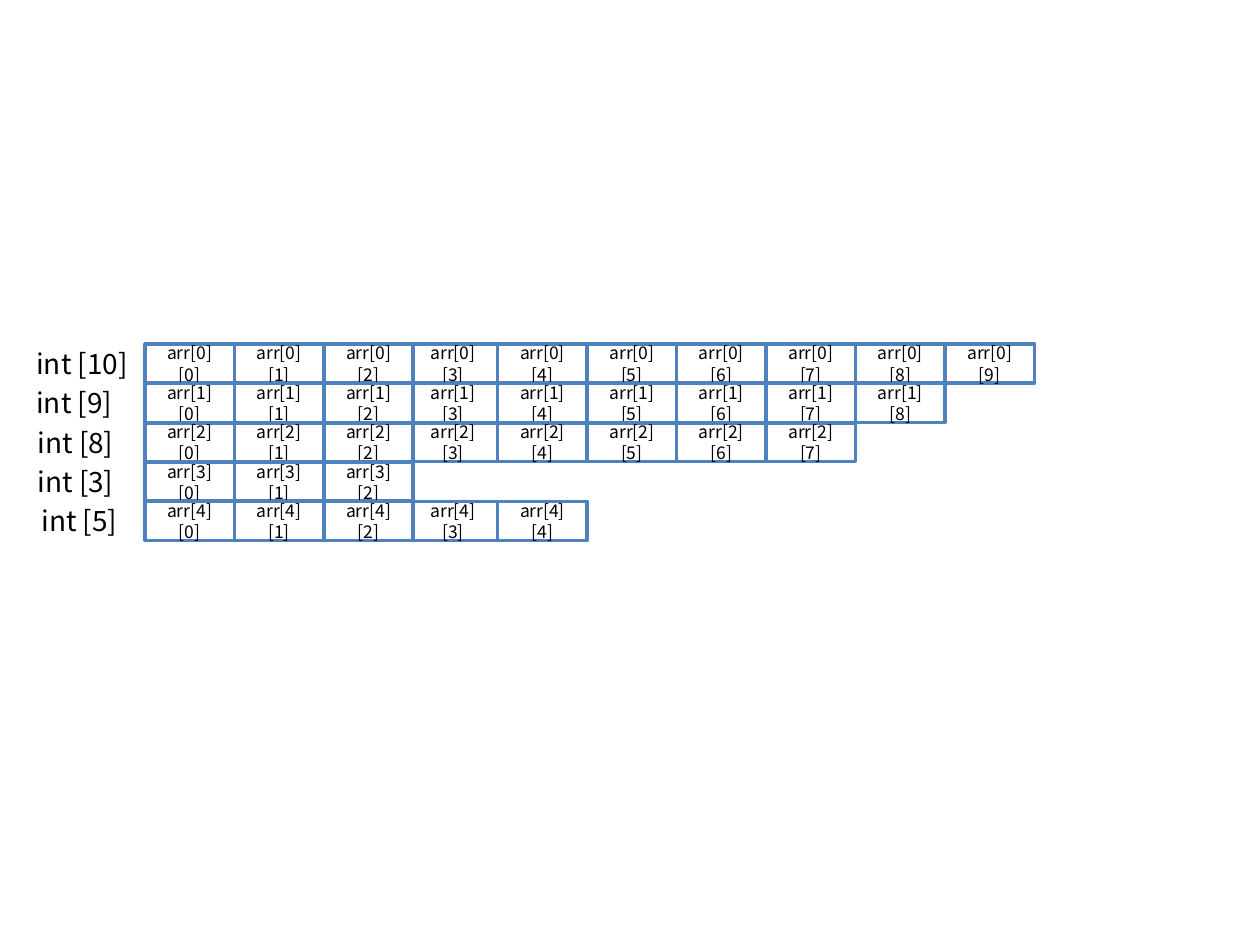
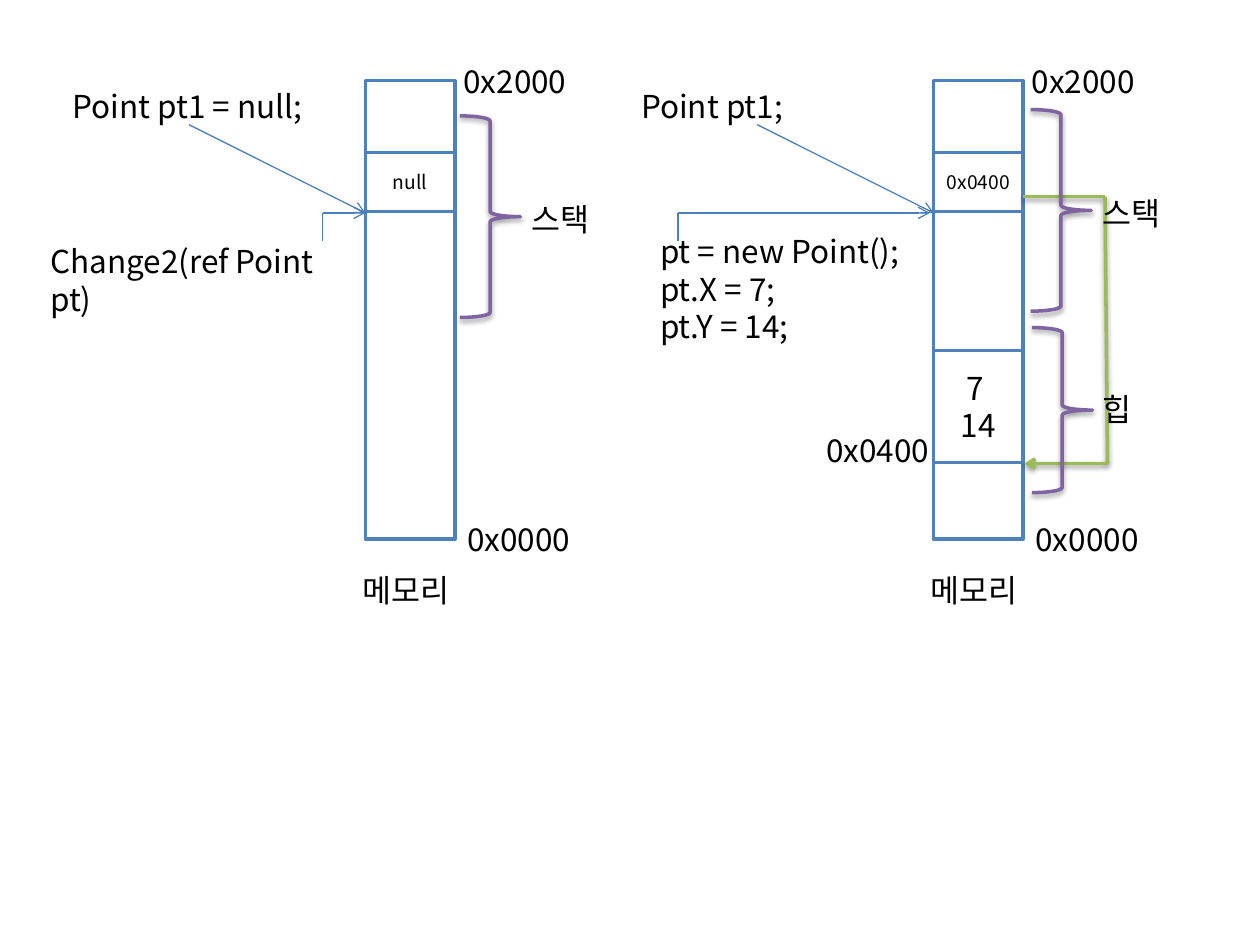
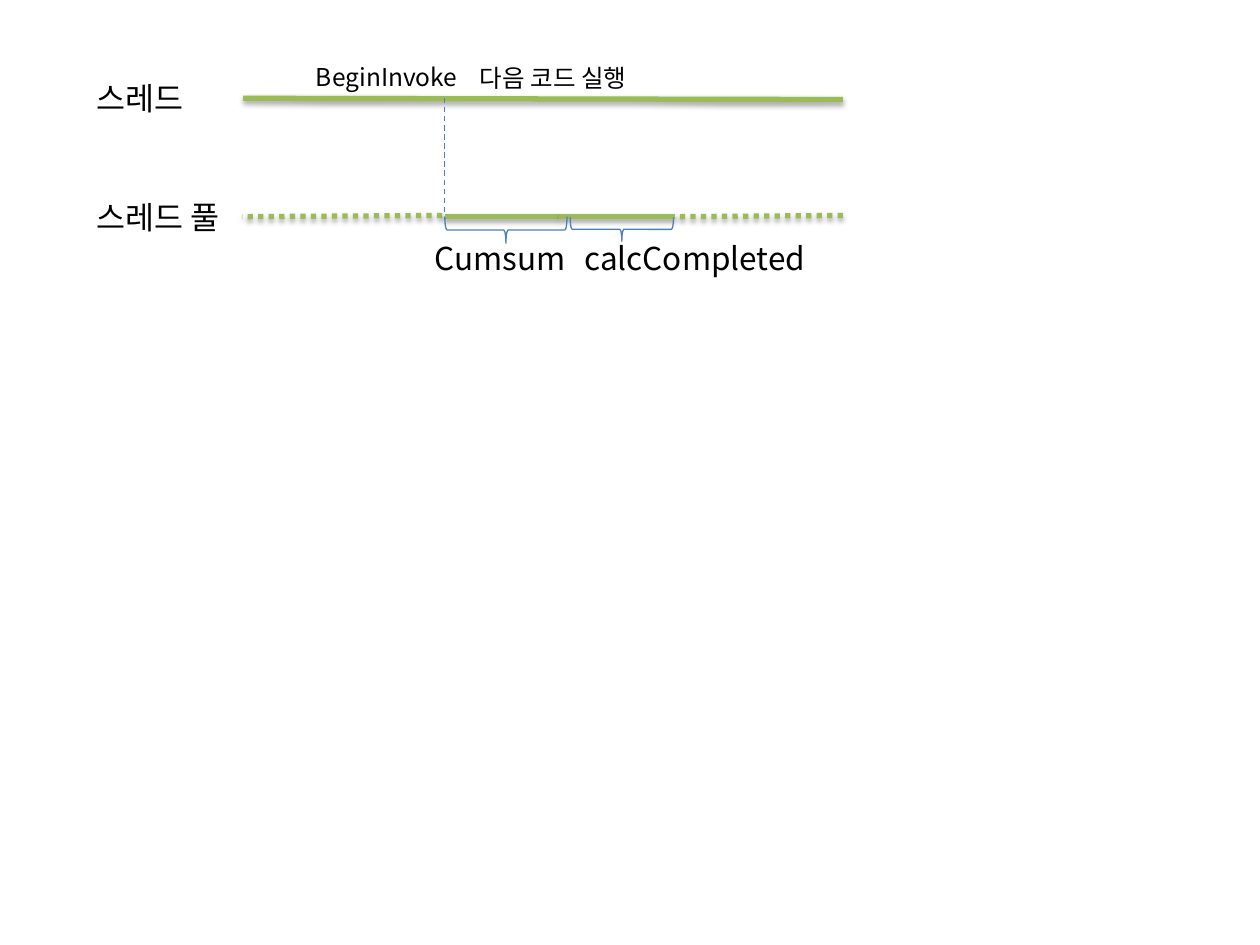
from dataclasses import dataclass

import pptx
import pptx.dml.color
import pptx.enum.dml
import pptx.enum.shapes
import pptx.enum.text
import pptx.oxml
import pptx.oxml.ns
import pptx.presentation
import pptx.shapes.base
import pptx.slide
import pptx.text.text
import pptx.util
from lxml import etree
from pptx.util import Inches

FONT = "Noto Sans CJK KR"
BLACK = "000000"
WHITE = "FFFFFF"
BLUE = "4F81BD"
THIN_BLUE = "4B7EBC"
GREEN = "9BBB59"
PURPLE = "8064A2"

DASH = pptx.enum.dml.MSO_LINE.DASH
DOTS = pptx.enum.dml.MSO_LINE.ROUND_DOT
CENTER = pptx.enum.text.PP_ALIGN.CENTER
Dash = pptx.enum.dml.MSO_LINE


@dataclass(frozen=True)
class Label:
    text: str
    left: float
    top: float
    width: float = 1.34
    height: float = 0.4
    size: int = 18


@dataclass(frozen=True)
class Cell:
    left: float
    top: float
    height: float
    text: str = ""
    size: int = 18
    width: float = 0.71


@dataclass(frozen=True)
class Line:
    start: tuple[float, float]
    end: tuple[float, float]
    color: str = THIN_BLUE
    weight: float = 0.75
    arrow: bool = False
    dash: Dash | None = None
    shadow: bool = False


@dataclass(frozen=True)
class Brace:
    left: float
    top: float
    width: float
    height: float
    color: str = PURPLE
    weight: float = 2
    rotation: int = 0
    shadow: bool = True


@dataclass(frozen=True)
class MemoryDiagram:
    """Parts that differ between the two memory columns."""
    offset: float
    declaration: str
    value: str


def rgb(color: str) -> pptx.dml.color.RGBColor:
    return pptx.dml.color.RGBColor.from_string(color)


def format_text(frame: pptx.text.text.TextFrame, size: int) -> None:
    for paragraph in frame.paragraphs:
        for run in paragraph.runs:
            run.font.size = pptx.util.Pt(size)
            run.font.color.rgb = rgb(BLACK)
            run.font.name = FONT
            properties = run.font._element
            etree.SubElement(properties, pptx.oxml.ns.qn("a:ea"), typeface=FONT)


def set_effects(shape: pptx.shapes.base.BaseShape, shadow: bool) -> None:
    """Replace the theme shadow by a soft one straight below, or by none."""
    qn = pptx.oxml.ns.qn
    properties = shape.element.spPr
    effects = properties.find(qn("a:effectLst"))
    if effects is None:
        effects = etree.SubElement(properties, qn("a:effectLst"))
    if shadow:
        outer = etree.SubElement(
            effects, qn("a:outerShdw"), blurRad=str(pptx.util.Pt(3.1)),
            dist=str(pptx.util.Pt(1.6)), dir="5400000", rotWithShape="0")
        color = etree.SubElement(outer, qn("a:srgbClr"), val=BLACK)
        etree.SubElement(color, qn("a:alpha"), val="38000")


def add_label(slide: pptx.slide.Slide, label: Label) -> None:
    box = slide.shapes.add_textbox(Inches(label.left), Inches(label.top),
                                   Inches(label.width), Inches(label.height))
    frame = box.text_frame
    frame.word_wrap = True
    frame.auto_size = pptx.enum.text.MSO_AUTO_SIZE.SHAPE_TO_FIT_TEXT
    frame.text = label.text
    format_text(frame, label.size)


def add_cell(slide: pptx.slide.Slide, cell: Cell) -> None:
    shape = slide.shapes.add_shape(
        pptx.enum.shapes.MSO_SHAPE.RECTANGLE, Inches(cell.left), Inches(cell.top),
        Inches(cell.width), Inches(cell.height))
    shape.shadow.inherit = False
    shape.fill.solid()
    shape.fill.fore_color.rgb = rgb(WHITE)
    shape.line.color.rgb = rgb(BLUE)
    shape.line.width = pptx.util.Pt(2)
    if cell.text:
        frame = shape.text_frame
        frame.word_wrap = True
        frame.vertical_anchor = pptx.enum.text.MSO_ANCHOR.MIDDLE
        frame.text = cell.text
        frame.paragraphs[0].alignment = CENTER
        format_text(frame, cell.size)


def add_line(slide: pptx.slide.Slide, line: Line) -> None:
    connector = slide.shapes.add_connector(
        pptx.enum.shapes.MSO_CONNECTOR.STRAIGHT,
        *(Inches(value) for value in line.start + line.end))
    connector.line.color.rgb = rgb(line.color)
    connector.line.width = pptx.util.Pt(line.weight)
    if line.dash is not None:
        connector.line.dash_style = line.dash
    if line.arrow:
        outline = connector.line._get_or_add_ln()
        etree.SubElement(outline, pptx.oxml.ns.qn("a:tailEnd"), type="arrow")
    set_effects(connector, line.shadow)


def add_brace(slide: pptx.slide.Slide, brace: Brace) -> None:
    shape = slide.shapes.add_shape(
        pptx.enum.shapes.MSO_SHAPE.RIGHT_BRACE, Inches(brace.left), Inches(brace.top),
        Inches(brace.width), Inches(brace.height))
    shape.shadow.inherit = False
    shape.fill.background()
    shape.line.color.rgb = rgb(brace.color)
    shape.line.width = pptx.util.Pt(brace.weight)
    shape.rotation = brace.rotation
    set_effects(shape, brace.shadow)


def add_blank_slide(presentation: pptx.presentation.Presentation) -> pptx.slide.Slide:
    return presentation.slides.add_slide(presentation.slide_layouts[6])


def build_jagged_array(presentation: pptx.presentation.Presentation) -> None:
    slide = add_blank_slide(presentation)
    row_lengths = [10, 9, 8, 3, 5]
    label_lefts = [0.19, 0.19, 0.2, 0.2, 0.23]
    row_step = 1.25 / 4
    for row, (length, label_left) in enumerate(zip(row_lengths, label_lefts)):
        row_offset = row * row_step
        for column in reversed(range(length)):
            # The columns from the fourth on overlap the third a little.
            left = 1.15 + 0.71 * column - (0.04 if column >= 3 else 0)
            add_cell(slide, Cell(left, 2.73 + row_offset, 0.31,
                                 f"arr[{row}][{column}]", 10))
        add_label(slide, Label(f"int [{length}]", label_left, 2.7 + row_offset,
                               0.95, 0.37, 16))


def add_memory_diagram(slide: pptx.slide.Slide, diagram: MemoryDiagram) -> None:
    offset = diagram.offset
    add_cell(slide, Cell(2.9 + offset, 0.64, 3.64))
    add_cell(slide, Cell(2.9 + offset, 1.21, 0.47, diagram.value, 11))
    for label in (
        Label("0x0000", 3.61 + offset, 4.08),
        Label(diagram.declaration, 0.48 + offset, 0.64, 3.16),
        Label("메모리", 2.78 + offset, 4.48),
        Label("0x2000", 3.58 + offset, 0.44),
    ):
        add_label(slide, label)
    add_line(slide, Line((1.5 + offset, 0.99), (2.9 + offset, 1.69), arrow=True))


def build_memory(presentation: pptx.presentation.Presentation) -> None:
    slide = add_blank_slide(presentation)
    add_memory_diagram(slide, MemoryDiagram(0, "Point pt1 = null;", "null"))
    add_memory_diagram(slide, MemoryDiagram(4.51, "Point pt1;", "0x0400"))
    add_cell(slide, Cell(7.41, 2.78, 0.89, "7 \v14"))

    for bend, arrow_end in ((2.56, 2.9), (5.38, 7.38)):
        add_line(slide, Line((bend, 1.69), (arrow_end, 1.69), arrow=True))
        add_line(slide, Line((bend, 1.69), (bend, 1.91)))

    reference_points = [(8.12, 1.56), (8.77, 1.56), (8.79, 3.68), (8.13, 3.68)]
    for start, end in zip(reference_points, reference_points[1:]):
        add_line(slide, Line(start, end, GREEN, 2, shadow=True,
                             arrow=end == reference_points[-1]))

    for brace in (
        Brace(3.65, 0.92, 0.48, 1.6),
        Brace(8.18, 0.87, 0.48, 1.6),
        Brace(8.19, 2.6, 0.48, 1.31),
    ):
        add_brace(slide, brace)
    for label in (
        Label("Change2(ref Point pt)", 0.3, 1.87, 2.57),
        Label("pt = new Point();\vpt.X = 7;\npt.Y = 14;", 5.14, 1.79, 2.24, 1.01),
        Label("0x0400", 6.46, 3.37),
        Label("스택", 4.12, 1.54),
        Label("스택", 8.65, 1.49),
        Label("힙", 8.65, 3.05),
    ):
        add_label(slide, label)


def build_threads(presentation: pptx.presentation.Presentation) -> None:
    slide = add_blank_slide(presentation)
    for start, end, dash in (
        ((6.69, 0.79), (1.93, 0.78), None),
        ((3.51, 1.71), (1.92, 1.72), DOTS),
        ((4.44, 1.72), (3.53, 1.72), None),
        ((6.69, 1.71), (5.36, 1.72), DOTS),
        ((5.36, 1.72), (4.44, 1.72), None),
    ):
        add_line(slide, Line(start, end, GREEN, 3, dash=dash, shadow=True))
    for label in (
        Label("BeginInvoke", 2.41, 0.44, 1.5, 0.34, 14),
        Label("다음 코드 실행", 3.71, 0.45, 2.28, 0.34, 14),
        Label("스레드", 0.67, 0.58, 1.5),
        Label("스레드 풀", 0.67, 1.52, 1.5),
        Label("Cumsum", 3.35, 1.85, 2.19),
        Label("calcCompleted", 4.54, 1.85, 2.19),
    ):
        add_label(slide, label)
    for left, top, width, height in ((3.91, 1.34, 0.21, 0.97), (4.84, 1.41, 0.19, 0.82)):
        add_brace(slide, Brace(left, top, width, height, THIN_BLUE, 0.75, 90, False))
    add_line(slide, Line((3.53, 0.78), (3.53, 1.71), dash=DASH))


def main() -> None:
    presentation = pptx.Presentation()
    presentation.slide_width = Inches(10)
    presentation.slide_height = Inches(7.5)
    build_jagged_array(presentation)
    build_memory(presentation)
    build_threads(presentation)
    presentation.save("out.pptx")


if __name__ == "__main__":
    main()
